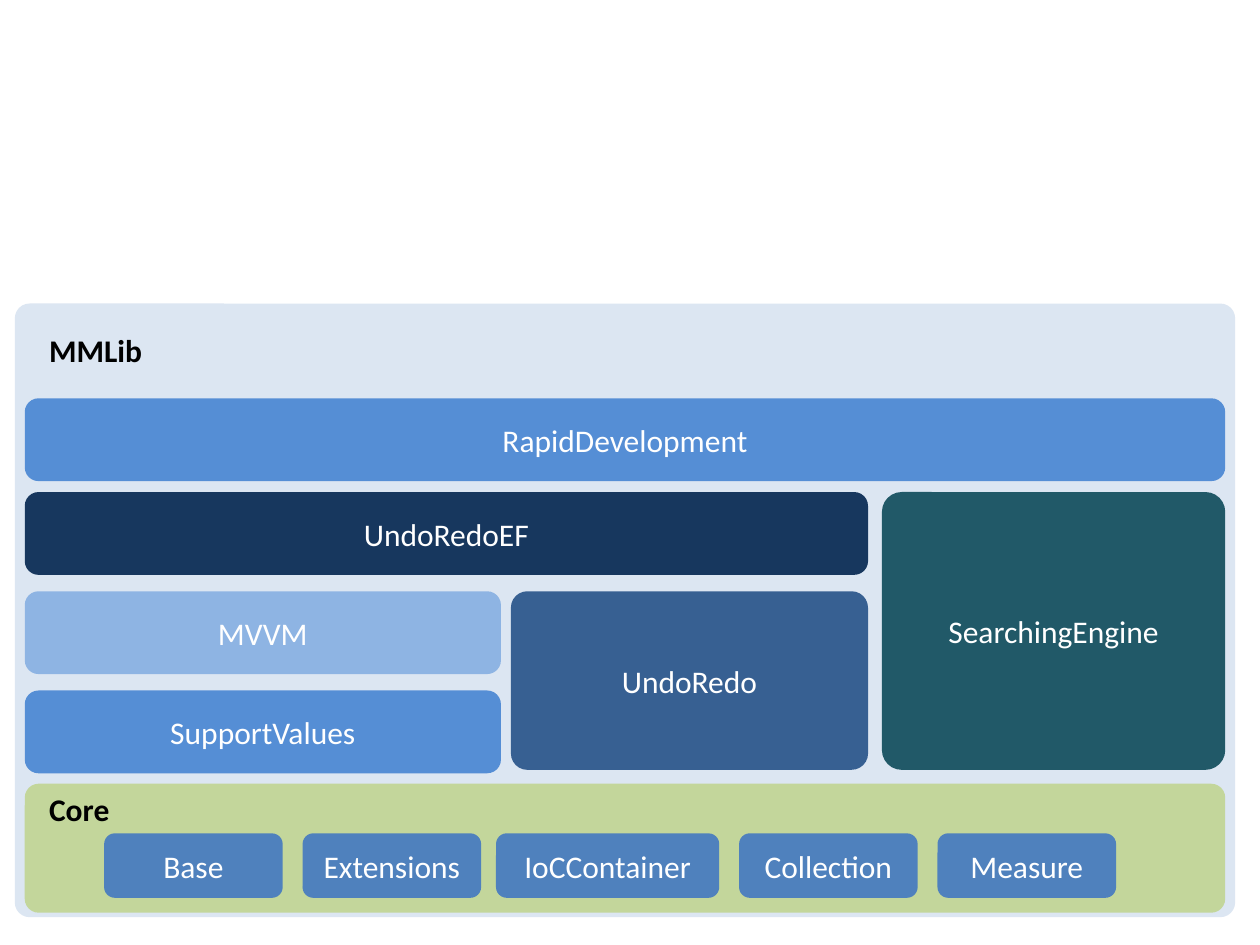
from dataclasses import dataclass

from pptx import Presentation
from pptx.dml.color import RGBColor
from pptx.enum.shapes import MSO_SHAPE as ShapeKind
from pptx.enum.text import MSO_ANCHOR as Anchor, PP_ALIGN as Align
from pptx.slide import Slide
from pptx.text.text import TextFrame
from pptx.util import Cm, Pt

LEFT, FULL_WIDTH, LAYER_HEIGHT = 0.5, 24.2, 1.67
LAYER_TOPS = [8.03, 9.92, 11.92, 13.92]
HALF_WIDTH = 9.6
MODULE_TOP, MODULE_HEIGHT = 16.8, 1.3
MODULES = [
    ("Base", 2.1, 3.6),
    ("Extensions", 6.1, 3.6),
    ("IoCContainer", 10, 4.5),
    ("Collection", 14.9, 3.6),
    ("Measure", 18.9, 3.6),
]


@dataclass
class Block:
    """A rounded block of the library diagram, measured in centimetres."""

    text: str
    left: float
    top: float
    width: float
    height: float
    color: str
    rounding: float = 0.1667


@dataclass
class Heading:
    """A bold heading inside a container, measured in centimetres."""

    text: str
    top: float
    left: float = 0.74
    width: float = 7.2
    height: float = 1.02


def rgb(color: str) -> RGBColor:
    """Turn a hex string into a colour."""
    return RGBColor.from_string(color)


def write(frame: TextFrame, text: str, color: str, bold: bool, align: Align) -> None:
    """Write one run of text into a frame."""
    frame.word_wrap = True
    paragraph = frame.paragraphs[0]
    paragraph.alignment = align
    run = paragraph.add_run()
    run.text = text
    run.font.name = "Calibri"
    run.font.size = Pt(18)
    run.font.bold = bold
    run.font.color.rgb = rgb(color)


def draw_block(slide: Slide, block: Block) -> None:
    """Draw a rounded block with its optional label."""
    shape = slide.shapes.add_shape(
        ShapeKind.ROUNDED_RECTANGLE,
        Cm(block.left), Cm(block.top), Cm(block.width), Cm(block.height),
    )
    shape.adjustments[0] = block.rounding
    shape.shadow.inherit = False
    shape.fill.solid()
    shape.fill.fore_color.rgb = rgb(block.color)
    shape.line.fill.background()
    if block.text:
        shape.text_frame.vertical_anchor = Anchor.MIDDLE
        write(shape.text_frame, block.text, "FFFFFF", False, Align.CENTER)


def draw_heading(slide: Slide, heading: Heading) -> None:
    """Draw a bold container heading."""
    shape = slide.shapes.add_textbox(
        Cm(heading.left), Cm(heading.top), Cm(heading.width), Cm(heading.height)
    )
    write(shape.text_frame, heading.text, "000000", True, Align.LEFT)


def main() -> None:
    """Build the library architecture slide."""
    presentation = Presentation()
    presentation.slide_width, presentation.slide_height = Cm(25.4), Cm(19.05)
    slide = presentation.slides.add_slide(presentation.slide_layouts[6])
    rapid_top, redo_top, mvvm_top, support_top = LAYER_TOPS

    containers = [
        Block("", 0.3, 6.12, 24.6, 12.37, "DCE6F2", 0.024),
        Block("", LEFT, 15.8, FULL_WIDTH, 2.6, "C3D69B", 0.108),
    ]
    modules = [
        Block(name, left, MODULE_TOP, width, MODULE_HEIGHT, "4F81BD")
        for name, left, width in MODULES
    ]
    layers = [
        Block("SupportValues", LEFT, support_top, HALF_WIDTH, LAYER_HEIGHT, "558ED5"),
        Block("UndoRedo", 10.3, mvvm_top, 7.2, 3.6, "376092", 0.092),
        Block("MVVM", LEFT, mvvm_top, HALF_WIDTH, LAYER_HEIGHT, "8EB4E3"),
        Block("SearchingEngine", 17.78, redo_top, 6.92, 5.6, "215968", 0.071),
        Block("UndoRedoEF", LEFT, redo_top, 17, LAYER_HEIGHT, "17375E"),
        Block("RapidDevelopment", LEFT, rapid_top, FULL_WIDTH, LAYER_HEIGHT, "558ED5"),
    ]
    for block in containers + modules + layers:
        draw_block(slide, block)
    for heading in (Heading("MMLib", 6.54), Heading("Core", 15.8)):
        draw_heading(slide, heading)
    presentation.save("out.pptx")


main()
